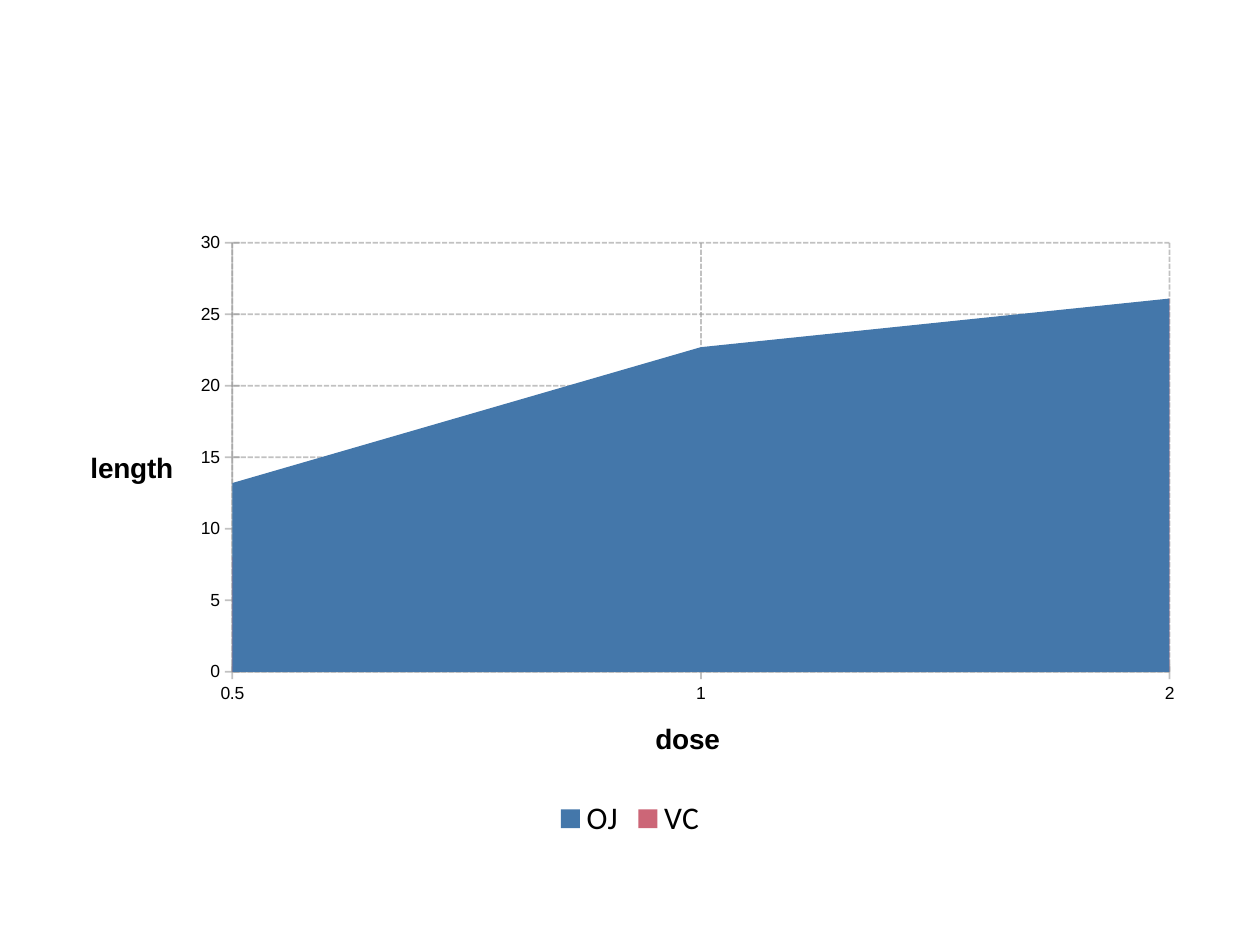
from pptx import Presentation
from pptx.chart.data import CategoryChartData
from pptx.dml.color import RGBColor
from pptx.enum import chart as charts, dml
from pptx.oxml import ns
from pptx import util as u
from lxml import etree

BLACK = RGBColor(0x00, 0x00, 0x00)
GREY = RGBColor(0x99, 0x99, 0x99)
BLUE = RGBColor(0x44, 0x77, 0xAA)
ROSE = RGBColor(0xCC, 0x66, 0x77)

DOSES = ["0.5", "1", "2"]
LENGTHS = {"OJ": ([13.2, 22.7, 26.1], BLUE), "VC": ([8, 16.8, 26.1], ROSE)}


def format_font(font, size, name="Arial", color=BLACK, bold=False):
    font.size, font.name, font.bold = u.Pt(size), name, bold
    font.color.rgb = color


def write_text(frame, text, **style):
    frame.text = text
    format_font(frame.paragraphs[0].runs[0].font, **style)


class ChartSlide:
    """Holds the axis style and the current slide."""

    line_color, line_width, opacity = GREY, 1, 60

    def __init__(self, presentation):
        self.slide = presentation.slides.add_slide(presentation.slide_layouts[6])

    def style_line(self, line, dash):
        line.color.rgb = self.line_color
        line.width = u.Pt(self.line_width)
        line.dash_style = dash
        color = line._ln.find(".//" + ns.qn("a:srgbClr"))
        etree.SubElement(color, ns.qn("a:alpha"), val=str(self.opacity * 1000))

    def style_axis(self, axis, title):
        axis.has_major_gridlines = True
        axis.major_tick_mark = charts.XL_TICK_MARK.CROSS
        axis.minor_tick_mark = charts.XL_TICK_MARK.NONE
        format_font(axis.tick_labels.font, size=10)
        self.style_line(axis.format.line, dml.MSO_LINE.SOLID)
        self.style_line(axis.major_gridlines.format.line, dml.MSO_LINE.SQUARE_DOT)
        write_text(axis.axis_title.text_frame, title, size=16, bold=True)
        # Keep both titles horizontal
        body = axis.axis_title._element.find(".//" + ns.qn("a:bodyPr"))
        body.set("rot", "0")
        body.set("vert", "horz")

    def add_area_chart(self, left, top, width, height, categories, series,
                       category_title, value_title):
        data = CategoryChartData()
        data.categories = categories
        for name, (values, _) in series.items():
            data.add_series(name, values)
        chart = self.slide.shapes.add_chart(
            charts.XL_CHART_TYPE.AREA, u.Pt(left), u.Pt(top),
            u.Pt(width), u.Pt(height), data).chart
        chart.has_title = False
        format_font(chart.font, size=18, name="Calibri")

        # Areas
        plot = chart.plots[0]
        plot.vary_by_categories = False
        for area, (_, color) in zip(plot.series, series.values()):
            area.format.fill.solid()
            area.format.fill.fore_color.rgb = color
            area.format.line.fill.background()

        # Axes
        self.style_axis(chart.category_axis, category_title)
        self.style_axis(chart.value_axis, value_title)
        crossing = chart.value_axis._element.find(ns.qn("c:crossBetween"))
        crossing.set("val", "midCat")

        # Legend
        chart.has_legend = True
        chart.legend.position = charts.XL_LEGEND_POSITION.BOTTOM
        chart.legend.include_in_layout = False
        return chart


presentation = Presentation()
presentation.slide_width, presentation.slide_height = u.Pt(720), u.Pt(540)

growth = ChartSlide(presentation)
growth.add_area_chart(36, 126, 648, 356.4, DOSES, LENGTHS,
                      category_title="dose", value_title="length")

presentation.save("out.pptx")
